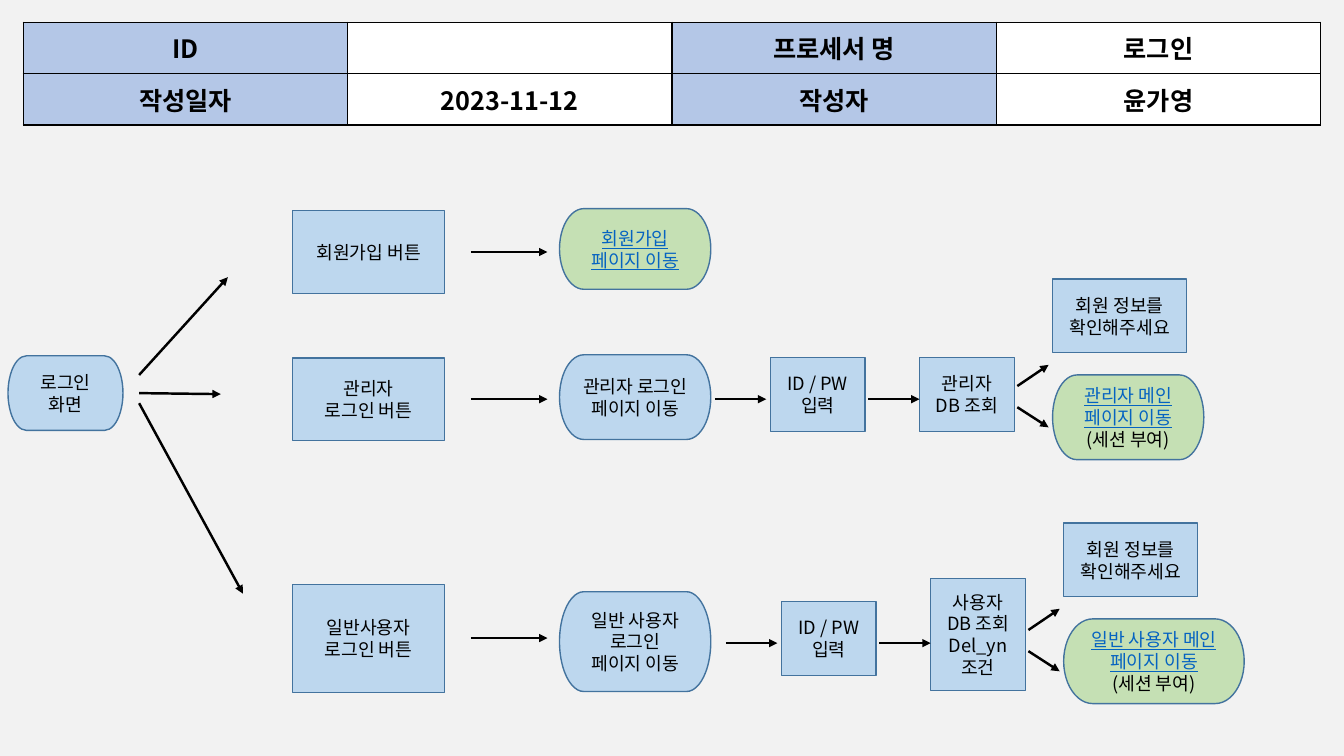
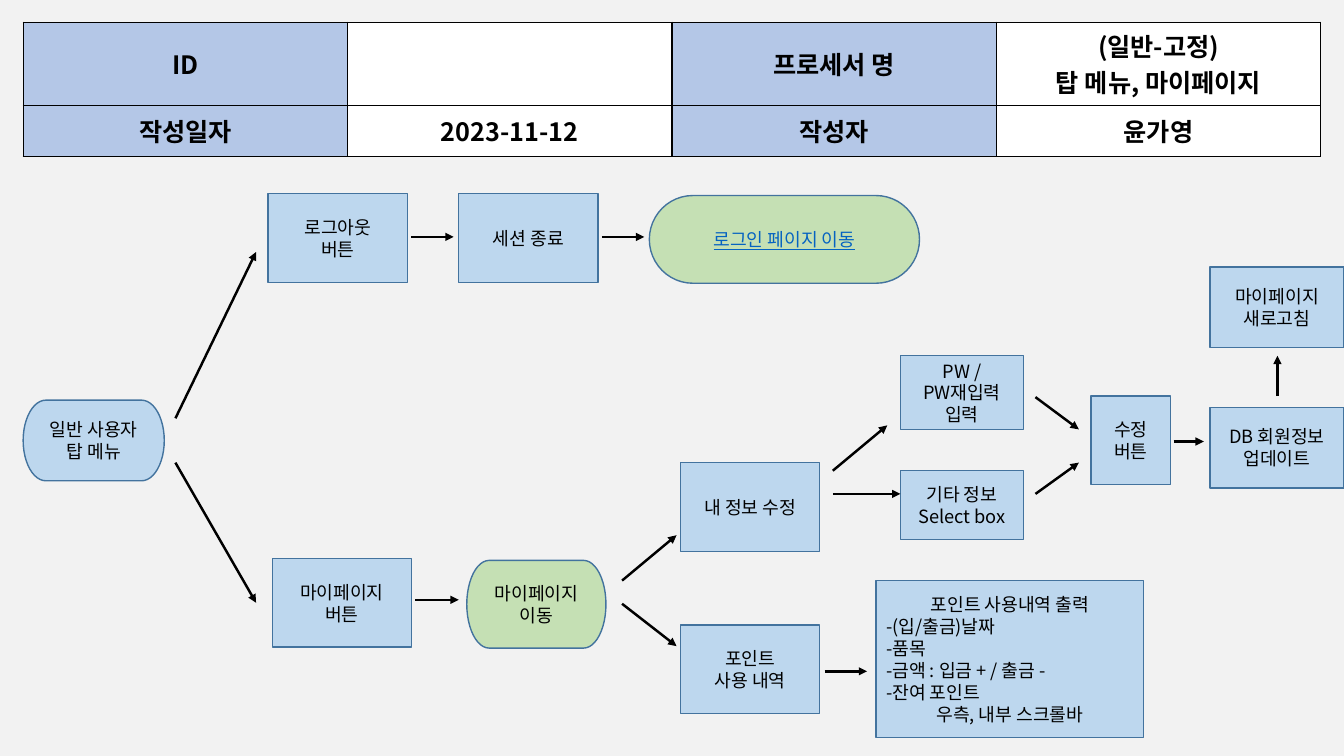
import pptx
import pptx.dml.color
import pptx.enum.shapes
import pptx.enum.text
import pptx.oxml.ns
import pptx.util
from lxml import etree

Inches = pptx.util.Inches
Pt = pptx.util.Pt
qn = pptx.oxml.ns.qn
Align = pptx.enum.text.PP_ALIGN
Shape = pptx.enum.shapes.MSO_SHAPE

COLORS = {
    "background": "F2F2F2",
    "label": "B4C7E7",
    "value": "FFFFFF",
    "step": "BDD7EE",
    "page": "C5E0B4",
    "outline": "43739E",
    "ink": "000000",
    "link": "0563C1",
}
FONT = "Noto Sans CJK KR"


def rgb(name):
    return pptx.dml.color.RGBColor.from_string(COLORS[name])


def write_text(frame, text, *, size=13, bold=False, links=0, left_lines=()):
    """Write one paragraph a line; the first `links` lines look like links."""
    frame.word_wrap = True
    for number, line in enumerate(text.split("\n")):
        paragraph = frame.add_paragraph() if number else frame.paragraphs[0]
        paragraph.alignment = Align.LEFT if number in left_lines else Align.CENTER
        run = paragraph.add_run()
        run.text = line
        linked = number < links
        run.font.size = Pt(size)
        run.font.bold = bold
        run.font.underline = linked
        run.font.color.rgb = rgb("link" if linked else "ink")
        run.font.name = FONT
        etree.SubElement(run._r.get_or_add_rPr(), qn("a:ea"), typeface=FONT)


class FlowDeck:
    def __init__(self):
        self.deck = pptx.Presentation()
        self.deck.slide_width = Inches(13.33)
        self.deck.slide_height = Inches(7.5)
        self.slide = None

    def new_slide(self, process, first_row=0.51):
        self.slide = self.deck.slides.add_slide(self.deck.slide_layouts[6])
        fill = self.slide.background.fill
        fill.solid()
        fill.fore_color.rgb = rgb("background")
        self.header([["ID", "", "프로세서 명", process],
                     ["작성일자", "2023-11-12", "작성자", "윤가영"]],
                    [first_row, 0.51])

    def header(self, rows, heights):
        table = self.slide.shapes.add_table(
            len(rows), len(rows[0]), Inches(0.23), Inches(0.22),
            Inches(12.87), Inches(sum(heights))).table
        table.first_row = table.horz_banding = False
        for column in table.columns:
            column.width = Inches(12.87 / len(rows[0]))
        for r, (row, height) in enumerate(zip(rows, heights)):
            table.rows[r].height = Inches(height)
            for c, text in enumerate(row):
                cell = table.cell(r, c)
                cell.vertical_anchor = pptx.enum.text.MSO_ANCHOR.MIDDLE
                self.cell_borders(cell)
                cell.fill.solid()
                cell.fill.fore_color.rgb = rgb("value" if c % 2 else "label")
                if text:
                    write_text(cell.text_frame, text, size=18, bold=True)

    def cell_borders(self, cell):
        properties = cell._tc.get_or_add_tcPr()
        for side in ("a:lnL", "a:lnR", "a:lnT", "a:lnB"):
            border = etree.SubElement(properties, qn(side), w=str(Pt(1)))
            solid = etree.SubElement(border, qn("a:solidFill"))
            etree.SubElement(solid, qn("a:srgbClr"), val=COLORS["ink"])

    def box(self, text, x, y, width, height, kind=Shape.RECTANGLE,
            fill="step", **text_format):
        node = self.slide.shapes.add_shape(
            kind, Inches(x), Inches(y), Inches(width), Inches(height))
        node.shadow.inherit = False
        node.fill.solid()
        node.fill.fore_color.rgb = rgb(fill)
        node.line.color.rgb = rgb("outline")
        node.line.width = Pt(1)
        node.text_frame.vertical_anchor = pptx.enum.text.MSO_ANCHOR.MIDDLE
        write_text(node.text_frame, text, **text_format)

    def terminator(self, text, x, y, width, height, **style):
        self.box(text, x, y, width, height, Shape.FLOWCHART_TERMINATOR, **style)

    def arrow(self, x1, y1, x2, y2):
        connector = self.slide.shapes.add_connector(
            pptx.enum.shapes.MSO_CONNECTOR.STRAIGHT,
            Inches(x1), Inches(y1), Inches(x2), Inches(y2))
        connector.line.color.rgb = rgb("ink")
        connector.line.width = Pt(1.75)
        properties = connector._element.spPr
        etree.SubElement(properties.find(qn("a:ln")), qn("a:tailEnd"), type="triangle")
        etree.SubElement(properties, qn("a:effectLst"))


def login_branch(flow, query, query_top, query_height, main_page, main_width,
                 dx=0, dy=0):
    """Draw the steps from entering ID / PW to the two login results."""
    flow.box("ID / PW\n입력", 7.64 + dx, 3.55 + dy, 0.94, 0.73)
    flow.box(query, 9.12 + dx, query_top, 0.94, query_height)
    flow.box("회원 정보를 확인해주세요", 10.44 + dx, 2.77 + dy, 1.33, 0.73)
    flow.terminator(main_page + "\n페이지 이동\n(세션 부여)", 10.44 + dx, 3.72 + dy,
                    main_width, 0.84, fill="page", links=2)
    for x1, y1, x2, y2 in [(7.09, 3.96, 7.6, 3.96), (8.61, 3.96, 9.12, 3.96),
                           (10.09, 3.83, 10.4, 3.62), (10.09, 4.04, 10.4, 4.24)]:
        flow.arrow(x1 + dx, y1 + dy, x2 + dx, y2 + dy)


def login_slide(flow):
    flow.new_slide("로그인")
    flow.terminator("로그인\n화면", 0.08, 3.53, 1.14, 0.74)
    for y1, x2, y2 in [(3.72, 2.26, 2.75), (3.9, 2.19, 3.91), (4, 2.41, 5.89)]:
        flow.arrow(1.38, y1, x2, y2)

    for text, top, height, arrow_y in [
            ("회원가입 버튼", 2.09, 0.82, 2.5),
            ("관리자\n로그인 버튼", 3.55, 0.82, 3.96),
            ("일반사용자\n로그인 버튼", 5.8, 1.07, 6.33)]:
        flow.box(text, 2.9, top, 1.51, height)
        flow.arrow(4.67, arrow_y, 5.43, arrow_y)

    flow.terminator("회원가입\n페이지 이동", 5.55, 2.07, 1.5, 0.8,
                    fill="page", links=2)
    flow.terminator("관리자 로그인\n페이지 이동", 5.55, 3.52, 1.5, 0.84)
    flow.terminator("일반 사용자\n로그인\n페이지 이동", 5.55, 5.87, 1.5, 0.99)
    login_branch(flow, "관리자 DB 조회", 3.55, 0.73, "관리자 메인", 1.5)
    login_branch(flow, "사용자 DB 조회\nDel_yn 조건", 5.74, 1.11,
                 "일반 사용자 메인", 1.79, dx=0.11, dy=2.42)


def my_page_slide(flow):
    flow.new_slide("(일반-고정)\n탑 메뉴, 마이페이지", first_row=0.82)
    flow.terminator("일반 사용자\n탑 메뉴", 0.23, 3.97, 1.4, 0.8)
    flow.terminator("로그인 페이지 이동", 6.44, 1.94, 2.68, 0.87,
                    fill="page", links=1)
    flow.terminator("마이페이지\n이동", 4.63, 5.56, 1.38, 0.87, fill="page")

    for text, x, y in [("로그아웃\n버튼", 2.66, 1.92),
                       ("세션 종료", 4.55, 1.92),
                       ("마이페이지\n버튼", 2.7, 5.54),
                       ("내 정보 수정", 6.75, 4.59),
                       ("포인트\n사용 내역", 6.75, 6.2)]:
        flow.box(text, x, y, 1.38, 0.88)

    flow.box("포인트 사용내역 출력\n-(입/출금)날짜\n-품목\n-금액 : 입금 + / 출금 -\n"
             "-잔여 포인트\n우측, 내부 스크롤바",
             8.69, 5.76, 2.65, 1.56, left_lines=range(1, 5))
    flow.box("PW /\nPW재입력\n입력", 8.93, 3.53, 1.22, 0.73)
    flow.box("기타 정보\nSelect box", 8.93, 4.67, 1.22, 0.68)
    flow.box("수정\n버튼", 10.82, 3.93, 0.79, 0.88)
    flow.box("DB 회원정보\n업데이트", 12, 4.04, 1.33, 0.8)
    flow.box("마이페이지\n새로고침", 12, 2.65, 1.33, 0.8)

    for ends in [(1.74, 4.15, 2.54, 2.5), (1.74, 4.59, 2.54, 5.98),
                 (4.08, 2.35, 4.5, 2.35), (5.97, 2.35, 6.39, 2.35),
                 (4.12, 5.95, 4.55, 5.95),
                 (6.17, 5.76, 6.71, 5.31), (6.17, 5.99, 6.71, 6.41),
                 (8.18, 6.66, 8.6, 6.66),
                 (8.26, 4.67, 8.8, 4.22), (8.26, 4.9, 8.93, 4.9),
                 (10.27, 3.94, 10.7, 4.26), (10.27, 4.9, 10.7, 4.59),
                 (11.64, 4.38, 11.94, 4.38), (12.67, 3.93, 12.67, 3.53)]:
        flow.arrow(*ends)


def main():
    flow = FlowDeck()
    login_slide(flow)
    my_page_slide(flow)
    flow.deck.save("out.pptx")


if __name__ == "__main__":
    main()
